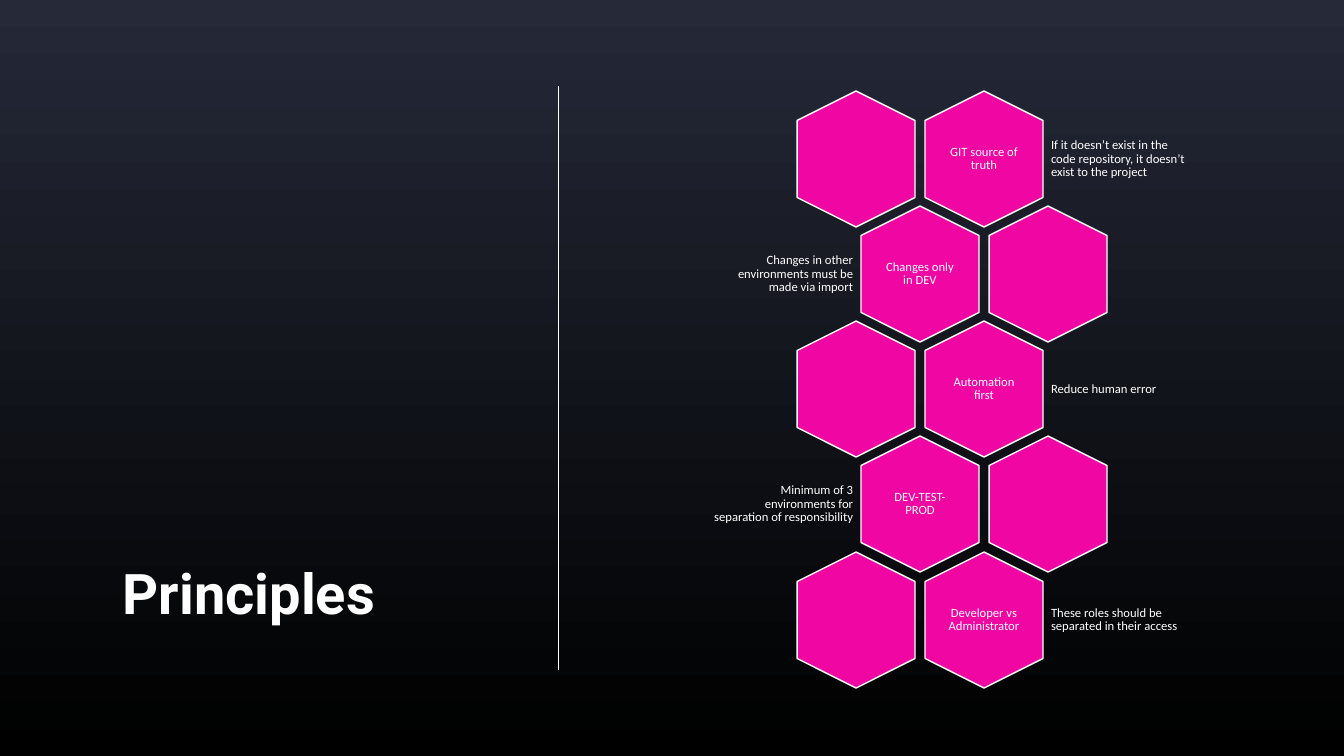
from dataclasses import dataclass

import lxml.etree
import pptx
import pptx.dml.color
import pptx.enum.shapes
import pptx.enum.text
import pptx.oxml.ns
import pptx.util

ALIGN = pptx.enum.text.PP_ALIGN
EMU_PER_PX = 914400 / 100.8
WHITE = "FFFFFF"
PINK = "F006A2"

# Honeycomb geometry, in px
FIRST_ROW_Y = 159
LAST_ROW_OFFSET = 461
COLUMN_PITCH = 128
LEFT_COLUMN_X = 856
HEXAGON_LENGTH, HEXAGON_BREADTH = 136, 118
LABEL_WIDTH, LABEL_HEIGHT = 82, 94
CAPTION_HEIGHT = 82


@dataclass(frozen=True)
class Principle:
    label: str
    caption: str


PRINCIPLES = [
    Principle("GIT source of truth",
              "If it doesn’t exist in the code repository, it doesn’t exist to the project"),
    Principle("Changes only in DEV",
              "Changes in other environments must be made via import"),
    Principle("Automation first", "Reduce human error"),
    Principle("DEV-TEST-PROD",
              "Minimum of 3 environments for separation of responsibility"),
    Principle("Developer vs Administrator",
              "These roles should be separated in their access"),
]


def px(length: float) -> pptx.util.Emu:
    return pptx.util.Emu(round(length * EMU_PER_PX))


def color(value: str) -> pptx.dml.color.RGBColor:
    return pptx.dml.color.RGBColor.from_string(value)


def paint_background(page, top: str, bottom: str) -> None:
    fill = page.background.fill
    fill.gradient()
    fill.gradient_angle = 270
    for stop, position, shade in zip(fill.gradient_stops, (0, 1), (top, bottom)):
        stop.position = position
        stop.color.rgb = color(shade)


def add_divider(page, x: int, top: int, bottom: int) -> None:
    divider = page.shapes.add_connector(
        pptx.enum.shapes.MSO_CONNECTOR.STRAIGHT, px(x), px(top), px(x), px(bottom))
    divider.line.color.rgb = color(WHITE)
    divider.line.width = pptx.util.Pt(0.5)
    lxml.etree.SubElement(divider._element.spPr, pptx.oxml.ns.qn("a:effectLst"))


def add_text(page, text: str, left: int, top: int, width: int, height: int,
             font_name: str, size: int, align: ALIGN = ALIGN.LEFT):
    """Add a white, vertically centred text box and return it."""
    box = page.shapes.add_textbox(px(left), px(top), px(width), px(height))
    frame = box.text_frame
    frame.word_wrap = True
    frame.vertical_anchor = pptx.enum.text.MSO_ANCHOR.MIDDLE
    para = frame.paragraphs[0]
    para.text = text
    para.alignment = align
    para.font.name = font_name
    para.font.size = pptx.util.Pt(size)
    para.font.color.rgb = color(WHITE)
    return box


def add_small_text(page, text: str, left: int, center_y: int, width: int,
                   height: int, align: ALIGN) -> None:
    box = add_text(page, text, left, center_y - height // 2, width, height,
                   "Calibri", 9, align)
    frame = box.text_frame
    frame.margin_left = frame.margin_right = px(4)
    frame.margin_top = frame.margin_bottom = px(4)
    frame.paragraphs[0].line_spacing = 0.9
    frame.paragraphs[0].space_after = pptx.util.Pt(3)


def add_hexagon(page, center_x: int, center_y: int) -> None:
    hexagon = page.shapes.add_shape(
        pptx.enum.shapes.MSO_SHAPE.HEXAGON,
        px(center_x - HEXAGON_LENGTH / 2), px(center_y - HEXAGON_BREADTH / 2),
        px(HEXAGON_LENGTH), px(HEXAGON_BREADTH))
    hexagon.rotation = 90
    hexagon.shadow.inherit = False
    hexagon.fill.solid()
    hexagon.fill.fore_color.rgb = color(PINK)
    hexagon.line.color.rgb = color(WHITE)
    hexagon.line.width = pptx.util.Pt(1)


def add_principle(page, row: int, principle: Principle) -> None:
    """Draw one honeycomb row; odd rows shift right and are captioned on the left."""
    shifted = row % 2 == 1
    center_y = FIRST_ROW_Y + row * LAST_ROW_OFFSET // (len(PRINCIPLES) - 1)
    left_x = LEFT_COLUMN_X + (COLUMN_PITCH // 2 if shifted else 0)
    right_x = left_x + COLUMN_PITCH
    label_x = left_x if shifted else right_x

    add_hexagon(page, left_x, center_y)
    add_hexagon(page, right_x, center_y)
    add_small_text(page, principle.label, label_x - LABEL_WIDTH // 2, center_y,
                   LABEL_WIDTH, LABEL_HEIGHT, ALIGN.CENTER)
    if shifted:
        add_small_text(page, principle.caption, 710, center_y, 147,
                       CAPTION_HEIGHT, ALIGN.RIGHT)
    else:
        add_small_text(page, principle.caption, 1047, center_y, 151,
                       CAPTION_HEIGHT, ALIGN.LEFT)


def main() -> None:
    deck = pptx.Presentation()
    deck.slide_width, deck.slide_height = px(1344), px(756)
    page = deck.slides.add_slide(deck.slide_layouts[6])

    paint_background(page, "252938", "000000")
    add_divider(page, 558, 86, 670)
    title = add_text(page, "Principles", 113, 519, 417, 146, "Roboto", 40)
    title.text_frame.paragraphs[0].font.bold = True
    title.text_frame.paragraphs[0].space_after = pptx.util.Pt(6)
    for row, principle in enumerate(PRINCIPLES):
        add_principle(page, row, principle)

    deck.save("out.pptx")


if __name__ == "__main__":
    main()
